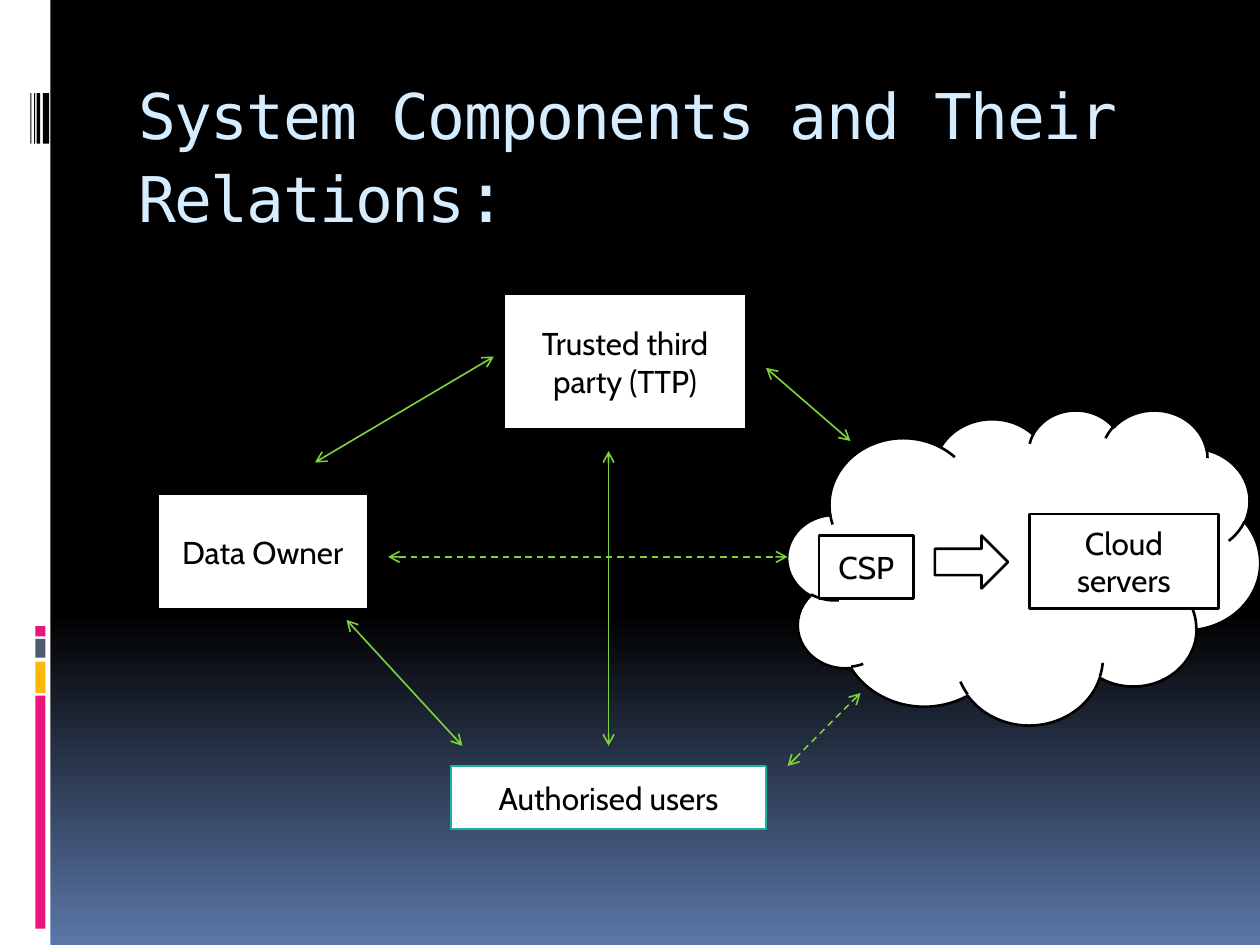
import dataclasses

import lxml.etree
import pptx
import pptx.dml.color
import pptx.enum.dml
import pptx.enum.shapes
import pptx.enum.text
import pptx.oxml.ns
import pptx.util

Inches = pptx.util.Inches
Shape = pptx.enum.shapes.MSO_SHAPE


@dataclasses.dataclass(frozen=True)
class Theme:
    black: str = "000000"
    white: str = "FFFFFF"
    blue: str = "5B77A8"
    pink: str = "EA157A"
    amber: str = "FEB80A"
    slate: str = "4E5B6F"
    teal: str = "1AB39F"
    green: str = "7FD13B"
    title: str = "D6ECFF"
    title_font: str = "DejaVu Sans Mono"
    body_font: str = "Cabin"
    title_size: float = 36
    colon_size: float = 40
    body_size: float = 18
    outline: float = 1.5
    arrow: float = 0.94


THEME = Theme()


def rgb(value):
    return pptx.dml.color.RGBColor.from_string(value)


def add_child(parent, tag, **attributes):
    return lxml.etree.SubElement(parent, pptx.oxml.ns.qn(tag), **attributes)


def style_run(run, font, size, color):
    run.font.name = font
    run.font.size = pptx.util.Pt(size)
    run.font.color.rgb = rgb(color)


def set_background(page):
    fill = page.background.fill
    fill.gradient()
    fill.gradient_angle = 270
    stops = ((0.65, THEME.black), (1, THEME.blue))
    for stop, (position, color) in zip(fill.gradient_stops, stops):
        stop.position = position
        stop.color.rgb = rgb(color)


def add_box(page, kind, place, fill, line=None, label=""):
    """Add a filled preset shape, optionally outlined and labelled."""
    box = page.shapes.add_shape(kind, *map(Inches, place))
    box.shadow.inherit = False
    box.fill.solid()
    box.fill.fore_color.rgb = rgb(fill)
    if line:
        box.line.color.rgb = rgb(line)
        box.line.width = pptx.util.Pt(THEME.outline)
    else:
        box.line.fill.background()
    if label:
        frame = box.text_frame
        frame.text = label
        frame.word_wrap = True
        frame.vertical_anchor = pptx.enum.text.MSO_ANCHOR.MIDDLE
        para = frame.paragraphs[0]
        para.alignment = pptx.enum.text.PP_ALIGN.CENTER
        style_run(para.runs[0], THEME.body_font, THEME.body_size, THEME.black)
    return box


def add_arrow(page, start, end, dashed=False):
    """Add a double-headed relation arrow."""
    arrow = page.shapes.add_connector(
        pptx.enum.shapes.MSO_CONNECTOR.STRAIGHT, *map(Inches, start + end))
    arrow.line.color.rgb = rgb(THEME.green)
    arrow.line.width = pptx.util.Pt(THEME.arrow)
    if dashed:
        arrow.line.dash_style = pptx.enum.dml.MSO_LINE.DASH
    outline = arrow.line._get_or_add_ln()
    for end_tag in ("a:headEnd", "a:tailEnd"):
        add_child(outline, end_tag, type="arrow")
    add_child(arrow._element.spPr, "a:effectLst")


def add_title(page):
    box = page.shapes.add_textbox(*map(Inches, (1, 0.56, 8.5, 1)))
    box.text_frame.word_wrap = True
    para = box.text_frame.paragraphs[0]
    parts = (("System Components and Their Relations", THEME.title_size),
             (":", THEME.colon_size))
    for words, size in parts:
        span = para.add_run()
        span.text = words
        style_run(span, THEME.title_font, size, THEME.title)
        span.font._element.set("spc", "-100")


def add_side_band(page):
    add_box(page, Shape.RECTANGLE, (0, 0, 0.4, 7.5), THEME.white)
    # Coloured blocks: top, height, colour
    for top, height, color in ((5.52, 1.85, THEME.pink), (5.25, 0.25, THEME.amber),
                               (5.07, 0.15, THEME.slate), (4.97, 0.08, THEME.pink)):
        add_box(page, Shape.RECTANGLE, (0.28, top, 0.08, height), color)
    # Black bars: left, width
    for left, width in ((0.34, 0.05), (0.29, 0.03), (0.27, 0.01), (0.24, 0.01)):
        add_box(page, Shape.RECTANGLE, (left, 0.74, width, 0.4), THEME.black)


def add_components(page):
    add_box(page, Shape.CLOUD, (6.25, 3.25, 3.75, 2.5), THEME.white, THEME.black)
    components = (
        ("Data Owner", (1.25, 3.92, 1.67, 0.92), THEME.black),
        ("Trusted third party (TTP)", (4, 2.33, 1.92, 1.08), THEME.black),
        ("CSP", (6.5, 4.25, 0.75, 0.5), THEME.black),
        ("Cloud servers", (8.17, 4.08, 1.5, 0.75), THEME.black),
        ("Authorised users", (3.58, 6.08, 2.5, 0.5), THEME.teal),
    )
    for label, place, line in components:
        add_box(page, Shape.RECTANGLE, place, THEME.white, line, label)
    add_box(page, Shape.RIGHT_ARROW, (7.42, 4.25, 0.58, 0.42), THEME.white, THEME.black)


def add_relations(page):
    add_arrow(page, (2.5, 3.67), (3.92, 2.83))
    add_arrow(page, (4.83, 3.58), (4.83, 5.92))
    add_arrow(page, (2.75, 4.92), (3.67, 5.92))
    add_arrow(page, (3.08, 4.42), (6.25, 4.42), dashed=True)
    add_arrow(page, (6.08, 2.92), (6.75, 3.5))
    add_arrow(page, (6.25, 6.08), (6.83, 5.5), dashed=True)


def main():
    deck = pptx.Presentation()
    deck.slide_width, deck.slide_height = Inches(10), Inches(7.5)
    page = deck.slides.add_slide(deck.slide_layouts[6])
    set_background(page)
    add_side_band(page)
    add_title(page)
    add_components(page)
    add_relations(page)
    deck.save("out.pptx")


main()
